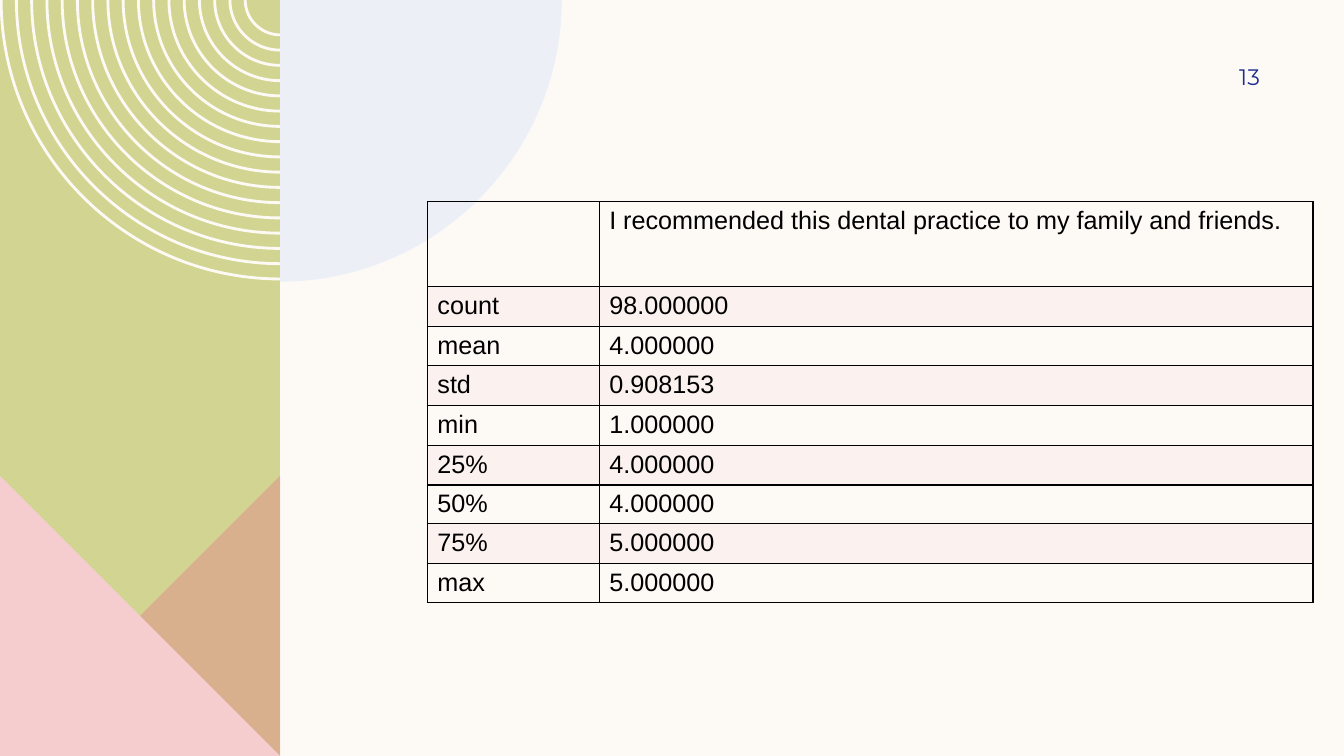
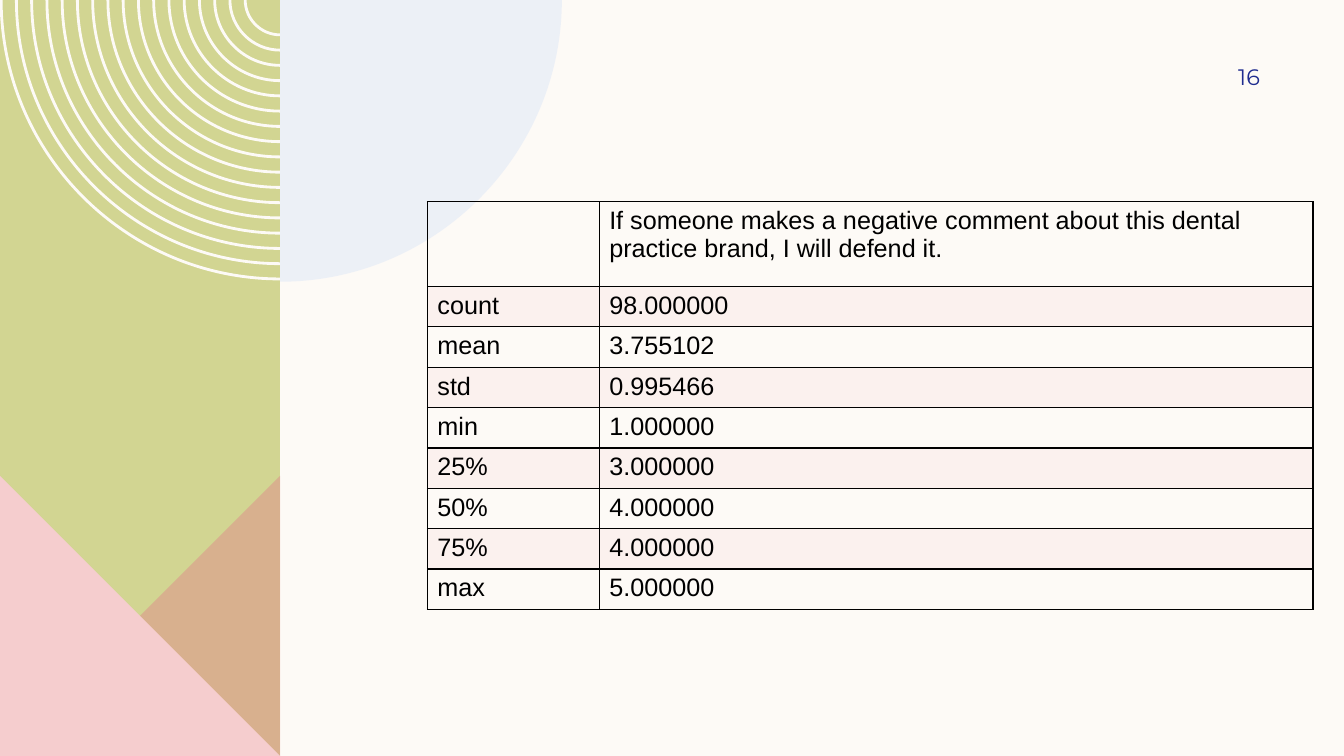
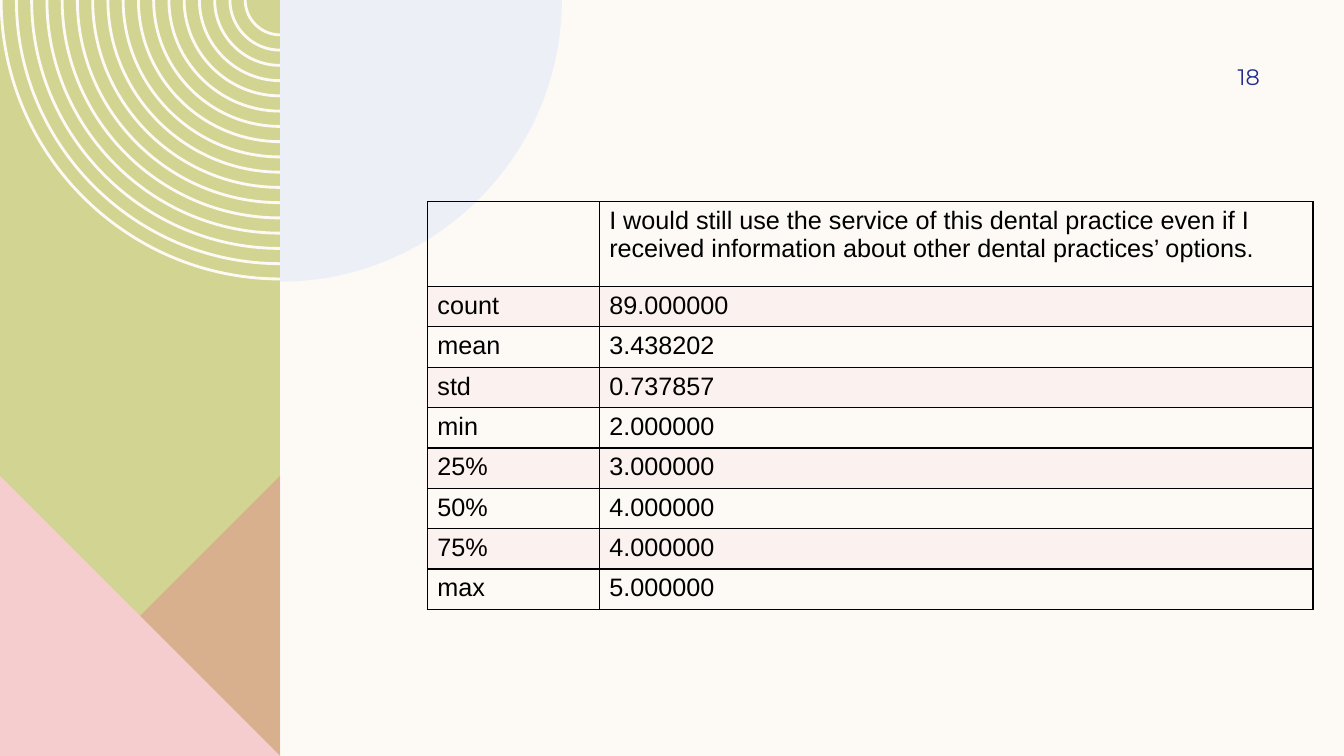
"""Build three survey-statistics slides that share one decorated layout."""
import lxml.etree
import pptx
import pptx.dml.color
import pptx.enum.text
import pptx.oxml.ns
import pptx.util

Cm = pptx.util.Cm
Pt = pptx.util.Pt
qn = pptx.oxml.ns.qn

CREAM, GREEN, ROSE = "FDFAF6", "D2D592", "F5CDCE"
CLAY, SKY, NAVY, BLACK = "DE8C8C", "DDE7F6", "1F2C8F", "000000"
WIDTH, HEIGHT = 33.87, 19.05
PANEL = 7.06
DISC_RADIUS = 7.1
RING_COUNT, OUTER_RADIUS, INNER_RADIUS = 17, 7.03, 0.88
BEND = 0.55

LABELS = ["count", "mean", "std", "min", "25%", "50%", "75%", "max"]
COLUMN_WIDTHS = [4.33, 17.99]
ROW_HEIGHTS = [2.14, 1, 1, 1, 1, 1, 0.97, 1, 1]
SURVEY = [
    ("13", "I recommended this dental practice to my family and friends.",
     ["98.000000", "4.000000", "0.908153", "1.000000",
      "4.000000", "4.000000", "5.000000", "5.000000"]),
    ("16", "If someone makes a negative comment about this dental practice brand, "
           "I will defend it.",
     ["98.000000", "3.755102", "0.995466", "1.000000",
      "3.000000", "4.000000", "4.000000", "5.000000"]),
    ("18", "I would still use the service of this dental practice even if I received "
           "information about other dental practices’ options.",
     ["89.000000", "3.438202", "0.737857", "2.000000",
      "3.000000", "4.000000", "4.000000", "5.000000"]),
]


def paint(fill, color, opacity=100):
    """Give a fill one solid colour, with opacity in percent."""
    fill.solid()
    fill.fore_color.rgb = pptx.dml.color.RGBColor.from_string(color)
    if opacity < 100:
        swatch = fill._xPr.find(qn("a:solidFill"))[0]
        lxml.etree.SubElement(swatch, qn("a:alpha"), val=str(opacity * 1000))


def write(frame, text, font, size, color):
    """Set the text of a frame and format its runs."""
    frame.text = text
    for para in frame.paragraphs:
        for span in para.runs:
            span.font.name = font
            span.font.size = Pt(size)
            paint(span.font.fill, color)


deck = pptx.Presentation()
deck.slide_width, deck.slide_height = Cm(WIDTH), Cm(HEIGHT)
layout = deck.slide_layouts[6]
paint(layout.background.fill, CREAM)
for placeholder in list(layout.placeholders):
    layout.shapes.element.remove(placeholder.element)
pages = [deck.slides.add_slide(layout) for _ in SURVEY]

quarter = [(1, 0), (1, BEND), (BEND, 1), (0, 1)]
rings = []
for index in range(RING_COUNT):
    radius = OUTER_RADIUS - index * (OUTER_RADIUS - INNER_RADIUS) / (RING_COUNT - 1)
    rings.append([(PANEL - radius * x, radius * y) for x, y in quarter])
disc = [(PANEL + DISC_RADIUS * x, DISC_RADIUS * y) for x, y in quarter] + [(PANEL, 0)]
top = HEIGHT - PANEL

decorations = [
    ([[(0, 0), (PANEL, 0), (PANEL, HEIGHT), (0, HEIGHT)]], GREEN, 100),
    (rings, CREAM, 100),
    ([[(PANEL, top), (PANEL, HEIGHT), (0, HEIGHT)]], CLAY, 50),
    ([[(0, top), (PANEL, HEIGHT), (0, HEIGHT)]], ROSE, 100),
    ([disc], SKY, 50),
]
for contours, color, opacity in decorations:
    outlines = [[(Cm(x), Cm(y)) for x, y in contour] for contour in contours]
    builder = pages[0].shapes.build_freeform(*outlines[0][0])
    for outline in outlines:
        if outline is not outlines[0]:
            builder.move_to(*outline[0])
        builder.add_line_segments(outline[1:], close=contours is not rings)
    shape = builder.convert_to_shape()
    shape.shadow.inherit = False
    if contours is rings:
        shape.fill.background()
        shape.line.width = Pt(2)
        paint(shape.line.fill, color)
    else:
        shape.line.fill.background()
        paint(shape.fill, color, opacity)
    if contours is rings or contours[0] is disc:
        for move in list(shape.element.iter(qn("a:moveTo"))):
            curve = lxml.etree.Element(qn("a:cubicBezTo"))
            for segment in list(move.itersiblings())[:3]:
                curve.append(segment[0])
                segment.getparent().remove(segment)
            move.addnext(curve)
    layout.shapes.element.append(shape.element)

for page, (number, question, values) in zip(pages, SURVEY):
    table = page.shapes.add_table(len(ROW_HEIGHTS), len(COLUMN_WIDTHS), Cm(10.77), Cm(5.08),
                                  Cm(sum(COLUMN_WIDTHS)), Cm(sum(ROW_HEIGHTS))).table
    table.first_row = table.horz_banding = False
    for column, width in zip(table.columns, COLUMN_WIDTHS):
        column.width = Cm(width)
    for row, height in zip(table.rows, ROW_HEIGHTS):
        row.height = Cm(height)

    for row_index, texts in enumerate(zip([""] + LABELS, [question] + values)):
        for column_index, text in enumerate(texts):
            cell = table.cell(row_index, column_index)
            write(cell.text_frame, text, "Arial", 18, BLACK)
            properties = cell._tc.get_or_add_tcPr()
            for side in ("a:lnL", "a:lnR", "a:lnT", "a:lnB"):
                border = lxml.etree.SubElement(properties, qn(side), w=str(Pt(1)))
                solid = lxml.etree.SubElement(border, qn("a:solidFill"))
                lxml.etree.SubElement(solid, qn("a:srgbClr"), val=BLACK)
            if row_index % 2:
                paint(cell.fill, ROSE, 20)
            else:
                cell.fill.background()

    box = page.shapes.add_textbox(Cm(28.78), Cm(1.27), Cm(2.97), Cm(1.32))
    frame = box.text_frame
    frame.word_wrap = True
    frame.margin_right = 0
    frame.vertical_anchor = pptx.enum.text.MSO_ANCHOR.MIDDLE
    write(frame, number, "Montserrat", 16, NAVY)
    frame.paragraphs[0].alignment = pptx.enum.text.PP_ALIGN.RIGHT

deck.save("out.pptx")
